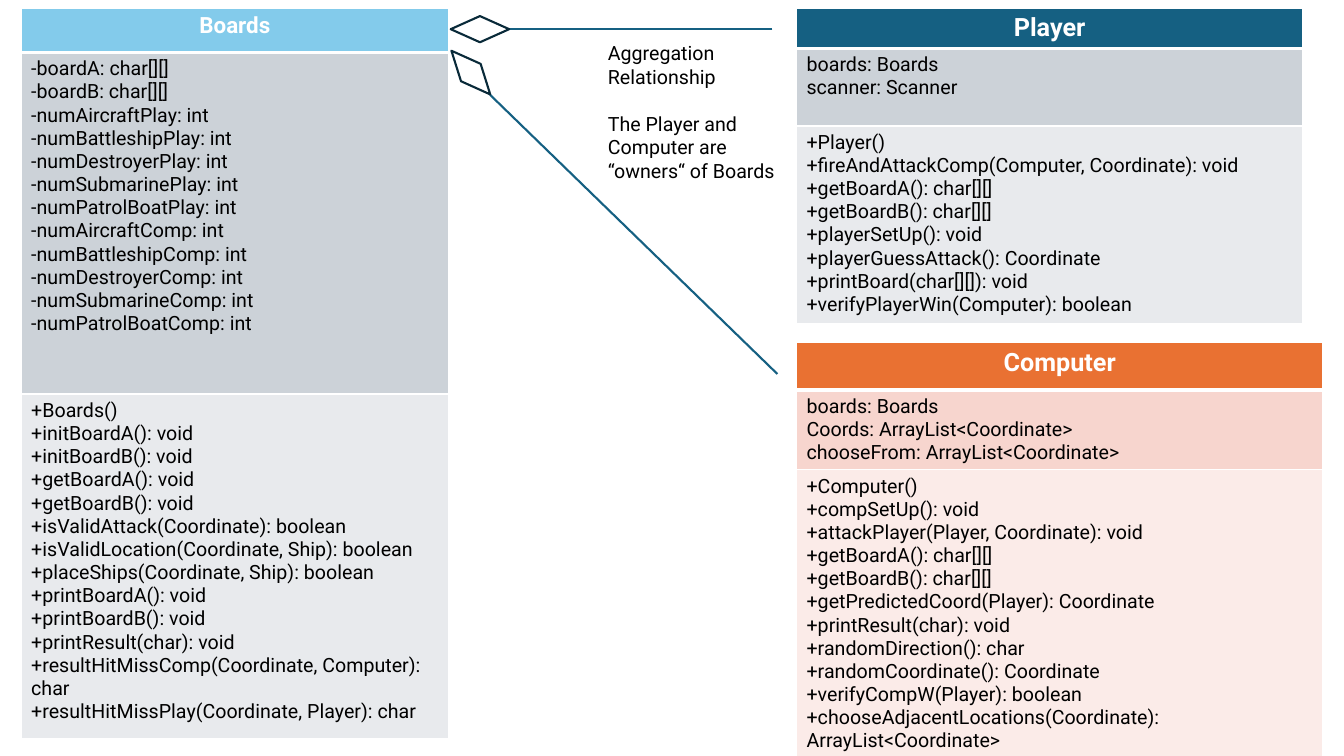
from dataclasses import dataclass
from lxml.etree import SubElement
from pptx import Presentation
from pptx.dml.color import RGBColor
from pptx.enum.shapes import MSO_CONNECTOR, MSO_SHAPE
from pptx.enum.text import MSO_AUTO_SIZE, PP_ALIGN
from pptx.oxml.ns import qn
from pptx.util import Emu, Pt

SCALE = 9144


@dataclass(frozen=True)
class Theme:
    face: str = "Roboto"
    white: str = "FFFFFF"
    black: str = "000000"
    navy: str = "092A39"
    teal: str = "156082"
    sky: tuple = ("83CBEB", "CCD2D8", "E8EAED")
    blue: tuple = ("156082", "CCD2D8", "E8EAED")
    coral: tuple = ("E97132", "F7D5CE", "FBEBE8")
    body: int = 14
    small: int = 16
    large: int = 18
    stroke: float = 1.5
    thin: int = 1
    thick: int = 3


THEME = Theme()

BOARDS = (
    "Boards",
    """-boardA: char[][]
-boardB: char[][]
-numAircraftPlay: int
-numBattleshipPlay: int
-numDestroyerPlay: int
-numSubmarinePlay: int
-numPatrolBoatPlay: int
-numAircraftComp: int
-numBattleshipComp: int
-numDestroyerComp: int
-numSubmarineComp: int
-numPatrolBoatComp: int""",
    """+Boards()
+initBoardA(): void
+initBoardB(): void
+getBoardA(): void
+getBoardB(): void
+isValidAttack(Coordinate): boolean
+isValidLocation(Coordinate, Ship): boolean
+placeShips(Coordinate, Ship): boolean
+printBoardA(): void
+printBoardB(): void
+printResult(char): void
+resultHitMissComp(Coordinate, Computer): char
+resultHitMissPlay(Coordinate, Player): char""",
)

PLAYER = (
    "Player",
    """boards: Boards
scanner: Scanner""",
    """+Player()
+fireAndAttackComp(Computer, Coordinate): void
+getBoardA(): char[][]
+getBoardB(): char[][]
+playerSetUp(): void
+playerGuessAttack(): Coordinate
+printBoard(char[][]): void
+verifyPlayerWin(Computer): boolean""",
)

COMPUTER = (
    "Computer",
    """boards: Boards
Coords: ArrayList<Coordinate>
chooseFrom: ArrayList<Coordinate>""",
    """+Computer()
+compSetUp(): void
+attackPlayer(Player, Coordinate): void
+getBoardA(): char[][]
+getBoardB(): char[][]
+getPredictedCoord(Player): Coordinate
+printResult(char): void
+randomDirection(): char
+randomCoordinate(): Coordinate
+verifyCompW(Player): boolean
+chooseAdjacentLocations(Coordinate): ArrayList<Coordinate>""",
)

NOTE = "Aggregation Relationship\nThe Player and Computer are “owners“ of Boards"


def px(*sizes):
    return [Emu(size * SCALE) for size in sizes]


def tint(color, code):
    color.rgb = RGBColor.from_string(code)


def write(frame, text, size, code, bold=False, align=PP_ALIGN.LEFT):
    style = {"name": THEME.face, "size": Pt(size), "bold": bold}
    frame.text = text
    for para in frame.paragraphs:
        para.alignment = align
        for key, value in style.items():
            setattr(para.font, key, value)
            setattr(para.runs[0].font, key, value)
        tint(para.runs[0].font.color, code)


def paint(cell, code):
    cell.fill.solid()
    tint(cell.fill.fore_color, code)


def edge(cell, **widths):
    props = cell._tc.get_or_add_tcPr()
    for spot, side in enumerate("LRTB"):
        line = SubElement(props, qn(f"a:ln{side}"), w=str(Pt(widths.get(side, THEME.thin))))
        fill = SubElement(line, qn("a:solidFill"))
        SubElement(fill, qn("a:srgbClr"), val=THEME.white)
        props.insert(spot, line)


def add_class(slide, left, top, width, rows, fills, size, texts):
    frame = slide.shapes.add_table(len(rows), 1, *px(left, top, width, sum(rows)))
    table = frame.table
    for index, (high, code, text) in enumerate(zip(rows, fills, texts)):
        table.rows[index].height = px(high)[0]
        cell = table.cell(index, 0)
        paint(cell, code)
        if index == 0:
            write(cell.text_frame, text, size, THEME.white, True, PP_ALIGN.CENTER)
            edge(cell, B=THEME.thick)
        else:
            write(cell.text_frame, text, THEME.body, THEME.black)
            edge(cell, T=THEME.thick if index == 1 else THEME.thin)


def add_note(slide, left, top, width, height, text):
    frame = slide.shapes.add_textbox(*px(left, top, width, height)).text_frame
    write(frame, text, THEME.body, THEME.black)
    frame.word_wrap = True
    frame.auto_size = MSO_AUTO_SIZE.SHAPE_TO_FIT_TEXT
    frame.paragraphs[1].space_before = Pt(16.5)


def add_line(slide, *ends):
    link = slide.shapes.add_connector(MSO_CONNECTOR.STRAIGHT, *px(*ends))
    link.line.width = Pt(THEME.stroke)
    tint(link.line.color, THEME.teal)
    SubElement(link._element.spPr, qn("a:effectLst"))


def add_gem(slide, left, top, turn):
    gem = slide.shapes.add_shape(MSO_SHAPE.DIAMOND, *px(left, top, 26, 58))
    gem.rotation = turn
    gem.shadow.inherit = False
    gem.fill.background()
    gem.line.width = Pt(THEME.stroke)
    tint(gem.line.color, THEME.navy)


def main():
    deck = Presentation()
    deck.slide_width, deck.slide_height = px(1333, 750)
    slide = deck.slides.add_slide(deck.slide_layouts[6])
    add_class(slide, 21, 8, 424, (44, 339, 342), THEME.sky, THEME.small, BOARDS)
    add_class(slide, 790, 8, 502, (40, 77, 196), THEME.blue, THEME.large, PLAYER)
    add_class(slide, 790, 340, 522, (47, 79, 267), THEME.coral, THEME.large, COMPUTER)
    add_note(slide, 593, 36, 189, 151, NOTE)
    add_line(slide, 766, 29, 505, 29)
    add_line(slide, 771, 371, 486, 94)
    add_gem(slide, 454, 43, 318.4)
    add_gem(slide, 463, 0, 90)
    deck.save("out.pptx")


if __name__ == "__main__":
    main()
